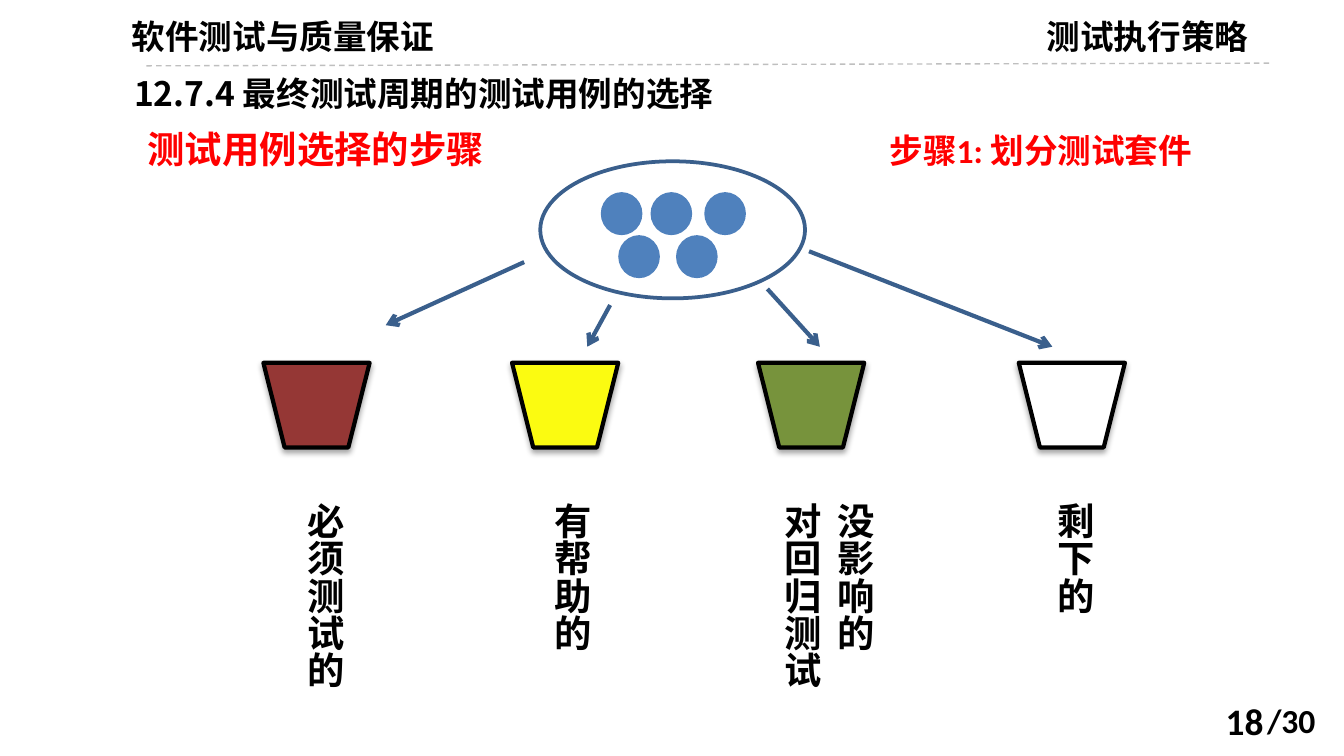
"""Build the slide that sorts test cases into four buckets."""
import pptx
import pptx.dml.color
import pptx.enum.dml
import pptx.enum.shapes
import pptx.enum.text
import pptx.oxml
import pptx.oxml.ns
import pptx.util

Inches = pptx.util.Inches
Pt = pptx.util.Pt
RGB = pptx.dml.color.RGBColor.from_string
Shape = pptx.enum.shapes.MSO_SHAPE
Align = pptx.enum.text.PP_ALIGN
Anchor = pptx.enum.text.MSO_ANCHOR
NS = pptx.oxml.ns.nsdecls("a")

theme = {
    "ink": RGB("000000"), "alert": RGB("FF0000"), "rule": RGB("BFBFBF"),
    "dot": RGB("4F81BD"), "edge": RGB("3A5F8C"),
    "must": RGB("953735"), "help": RGB("FBFB11"),
    "none": RGB("77933C"), "rest": RGB("FFFFFF"),
    "body": Pt(18), "large": Pt(20),
    "latin": "Calibri", "han": "Noto Sans CJK SC",
}
shade = (
    f'<a:effectLst {NS}><a:outerShdw blurRad="39400" dist="22900" dir="5400000" rotWithShape="0">'
    '<a:srgbClr val="000000"><a:alpha val="35000"/></a:srgbClr></a:outerShdw></a:effectLst>'
)

deck = pptx.Presentation()
deck.slide_width, deck.slide_height = Inches(10), Inches(5.625)
slide = deck.slides.add_slide(deck.slide_layouts[6])
shapes = slide.shapes


def write(text, box, size="body", color="ink", face="latin", align=Align.LEFT, anchor=Anchor.TOP):
    """Add one bold line of text and return its frame."""
    frame = shapes.add_textbox(*map(Inches, box)).text_frame
    for key, val in {"word_wrap": True, "vertical_anchor": anchor}.items():
        setattr(frame, key, val)
    para = frame.paragraphs[0]
    para.alignment = align
    run = para.add_run()
    run.text = text
    style = {"size": theme[size], "bold": True, "name": theme[face]}
    for key, val in style.items():
        setattr(run.font, key, val)
    run.font.color.rgb = theme[color]
    run.font._element.append(pptx.oxml.parse_xml(f'<a:ea {NS} typeface="{theme["han"]}"/>'))
    return frame


def link(start, end, color, width):
    """Add a flat straight line and return it."""
    line = shapes.add_connector(
        pptx.enum.shapes.MSO_CONNECTOR.STRAIGHT, *map(Inches, start + end))
    line.line.color.rgb = theme[color]
    line.line.width = Pt(width)
    line._element.spPr.append(pptx.oxml.parse_xml(f"<a:effectLst {NS}/>"))
    return line


write("/30", (9.33, 5.16, 0.66, 0.4))
write("软件测试与质量保证", (0.62, 0.07, 2.97, 0.4), face="han", align=Align.CENTER)
rule = link((1.09, 0.49), (9.47, 0.47), "rule", 0.75)
rule.line.dash_style = pptx.enum.dml.MSO_LINE.DASH
write("测试执行策略", (7.69, 0.07, 2.31, 0.4))
write("测试用例选择的步骤", (1, 0.89, 3.01, 0.44), "large", "alert")
write("12.7.4 最终测试周期的测试用例的选择", (0.9, 0.49, 7.24, 0.4), face="han")
write("步骤1: 划分测试套件", (6.52, 0.92, 2.8, 0.4), color="alert")

for left, color in ((1.96, "must"), (3.81, "help"), (5.64, "none"), (7.58, "rest")):
    pail = shapes.add_shape(
        Shape.FLOWCHART_MANUAL_OPERATION, Inches(left), Inches(2.7), Inches(0.79), Inches(0.63))
    pail.fill.solid()
    pail.fill.fore_color.rgb = theme[color]
    pail.line.color.rgb = theme["ink"]
    pail.line.width = Pt(2.25)
    pail._element.spPr.append(pptx.oxml.parse_xml(shade))

labels = (
    (2.09, "必须测试的"), (3.93, "有帮助的"), (5.64, "对回归测试"),
    (6.04, "没影响的"), (7.67, "剩下的"),
)
for left, text in labels:
    frame = write(text, (left, 3.64, 0.54, 1.59), "large")
    frame._element.bodyPr.set("vert", "eaVert")

for left, top in ((4.47, 1.43), (4.84, 1.43), (5.24, 1.43), (4.6, 1.75), (5.03, 1.75)):
    dot = shapes.add_shape(Shape.OVAL, Inches(left), Inches(top), Inches(0.31), Inches(0.32))
    dot.shadow.inherit = False
    dot.fill.solid()
    dot.fill.fore_color.rgb = theme["dot"]
    dot.line.fill.background()

suite = shapes.add_shape(Shape.OVAL, Inches(4.02), Inches(1.2), Inches(1.97), Inches(1.02))
suite.shadow.inherit = False
suite.fill.background()
suite.line.color.rgb = theme["edge"]
suite.line.width = Pt(2)

routes = (
    ((3.9, 1.95), (2.87, 2.42)), ((4.54, 2.27), (4.37, 2.58)),
    ((5.71, 2.15), (6.1, 2.58)), ((6.02, 1.87), (7.83, 2.58)),
)
for start, end in routes:
    arrow = link(start, end, "edge", 2.25)
    arrow.line._get_or_add_ln().append(pptx.oxml.parse_xml(f'<a:tailEnd {NS} type="arrow"/>'))

write("18", (7.17, 5.21, 2.33, 0.3), "large", align=Align.RIGHT, anchor=Anchor.MIDDLE)

deck.save("out.pptx")
